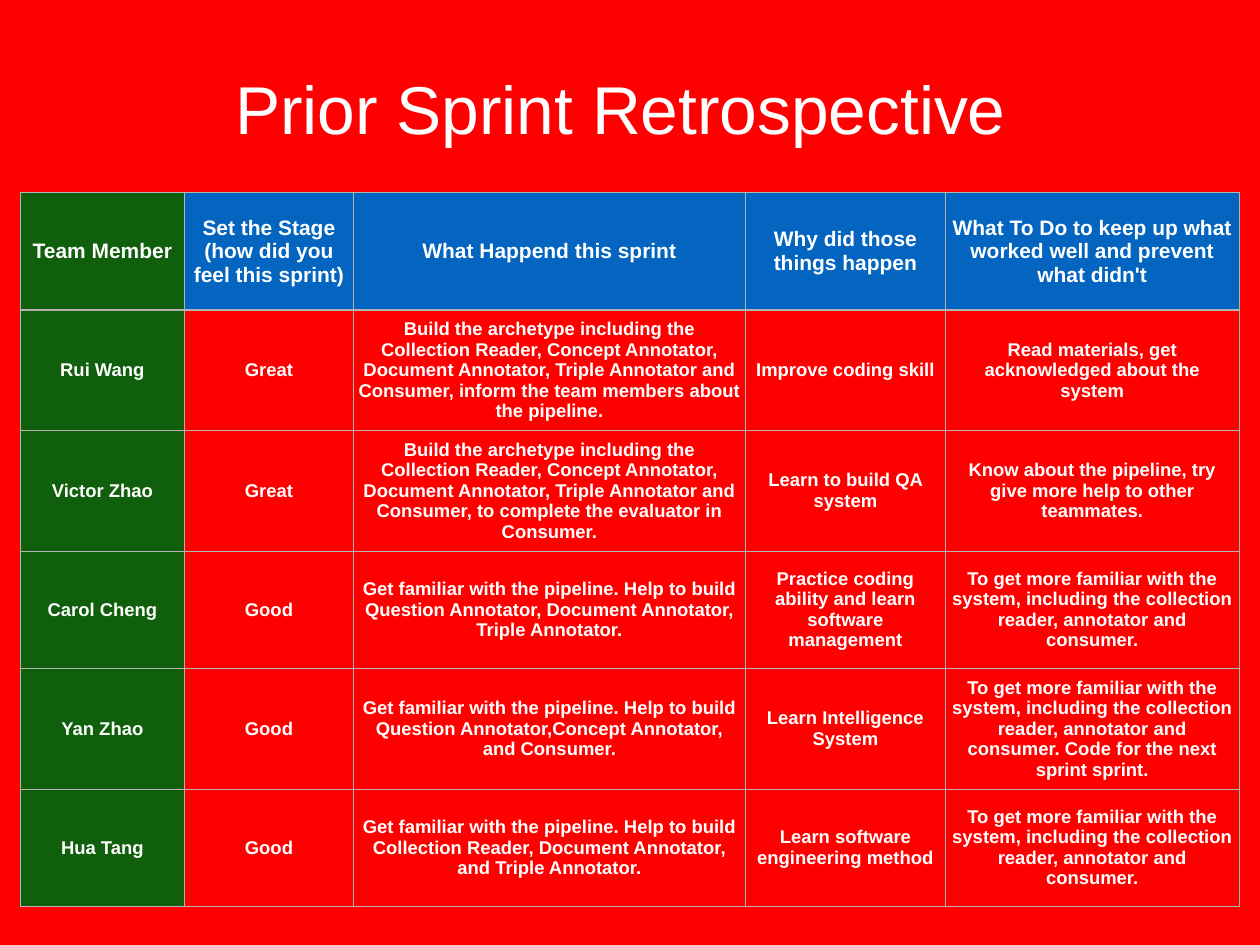
from dataclasses import astuple, dataclass

from lxml import etree
from pptx import Presentation
from pptx import util as u
from pptx.dml.color import RGBColor
from pptx.enum import text
from pptx.oxml.ns import qn

COLOURS = {"page": "FF0000", "heading": "0365C0", "member": "0F5F0C",
           "text": "FFFFFF", "border": "B4B4B4"}
COLUMN_WIDTHS = [4.71, 4.84, 11.24, 5.73, 8.42]
ROW_HEIGHT = 3.37
MARGINS = ("margin_left", "margin_right", "margin_top", "margin_bottom")


@dataclass
class Review:
    member: str
    feeling: str
    happened: str
    reason: str
    action: str


ARCHETYPE = ("Build the archetype including the Collection Reader, Concept Annotator, "
             "Document Annotator, Triple Annotator and Consumer, ")
FAMILIAR = "Get familiar with the pipeline. Help to build "
SYSTEM = ("To get more familiar with the system, including the collection reader, "
          "annotator and consumer.")

REVIEWS = [
    Review("Team Member", "Set the Stage (how did you feel this sprint)",
           "What Happend this sprint", "Why did those things happen",
           "What To Do to keep up what worked well and prevent what didn't"),
    Review("Rui Wang", "Great",
           ARCHETYPE + "inform the team members about the pipeline.",
           "Improve coding skill", "Read materials, get acknowledged about the system"),
    Review("Victor Zhao", "Great",
           ARCHETYPE + "to complete the evaluator in Consumer.",
           "Learn to build QA system",
           "Know about the pipeline, try give more help to other teammates."),
    Review("Carol Cheng", "Good",
           FAMILIAR + "Question Annotator, Document Annotator, Triple Annotator.",
           "Practice coding ability and learn software management", SYSTEM),
    Review("Yan Zhao", "Good",
           FAMILIAR + "Question Annotator,Concept Annotator, and Consumer.",
           "Learn Intelligence System", SYSTEM + " Code for the next sprint sprint."),
    Review("Hua Tang", "Good",
           FAMILIAR + "Collection Reader, Document Annotator, and Triple Annotator.",
           "Learn software engineering method", SYSTEM),
]


def colour(name: str) -> RGBColor:
    return RGBColor.from_string(COLOURS[name])


def write(frame, words: str, size: float, bold: bool) -> None:
    para = frame.paragraphs[0]
    para.alignment = text.PP_ALIGN.CENTER
    span = para.add_run()
    span.text = words
    for name, value in {"name": "Arial", "size": u.Pt(size), "bold": bold}.items():
        setattr(span.font, name, value)
    span.font.color.rgb = colour("text")


def set_margins(holder, margin: float) -> None:
    for side in MARGINS:
        setattr(holder, side, u.Cm(margin))


def add_borders(cell) -> None:
    """Put a thin line on all four sides, ahead of the cell's fill."""
    properties = cell._tc.get_or_add_tcPr()
    for place, side in enumerate(("a:lnL", "a:lnR", "a:lnT", "a:lnB")):
        line = etree.Element(qn(side), w=str(u.Pt(1)))
        fill = etree.SubElement(line, qn("a:solidFill"))
        etree.SubElement(fill, qn("a:srgbClr"), val=COLOURS["border"])
        properties.insert(place, line)


def add_title(page) -> None:
    box = page.shapes.add_textbox(u.Cm(2.37), u.Cm(0.15), u.Cm(30.84), u.Cm(5.89))
    frame = box.text_frame
    frame.word_wrap = True
    frame.vertical_anchor = text.MSO_ANCHOR.MIDDLE
    set_margins(frame, 0)
    write(frame, "Prior Sprint Retrospective", 55, False)


def fill_name(row: int, column: int) -> str:
    if column == 0:
        return "member"
    return "heading" if row == 0 else "page"


def add_reviews(page) -> None:
    table = page.shapes.add_table(
        len(REVIEWS), len(COLUMN_WIDTHS), u.Cm(0.58), u.Cm(5.52),
        u.Cm(sum(COLUMN_WIDTHS)), u.Cm(ROW_HEIGHT * len(REVIEWS))).table
    for column, width in zip(table.columns, COLUMN_WIDTHS):
        column.width = u.Cm(width)
    for row, review in enumerate(REVIEWS):
        table.rows[row].height = u.Cm(ROW_HEIGHT)
        for column, words in enumerate(astuple(review)):
            cell = table.cell(row, column)
            cell.vertical_anchor = text.MSO_ANCHOR.MIDDLE
            set_margins(cell, 0.14)
            cell.fill.solid()
            cell.fill.fore_color.rgb = colour(fill_name(row, column))
            add_borders(cell)
            write(cell.text_frame, words, 17 if row == 0 else 15, True)


def main() -> None:
    deck = Presentation()
    deck.slide_width, deck.slide_height = u.Cm(36.12), u.Cm(27.1)
    page = deck.slides.add_slide(deck.slide_layouts[6])
    page.background.fill.solid()
    page.background.fill.fore_color.rgb = colour("page")
    add_title(page)
    add_reviews(page)
    deck.save("out.pptx")


if __name__ == "__main__":
    main()
